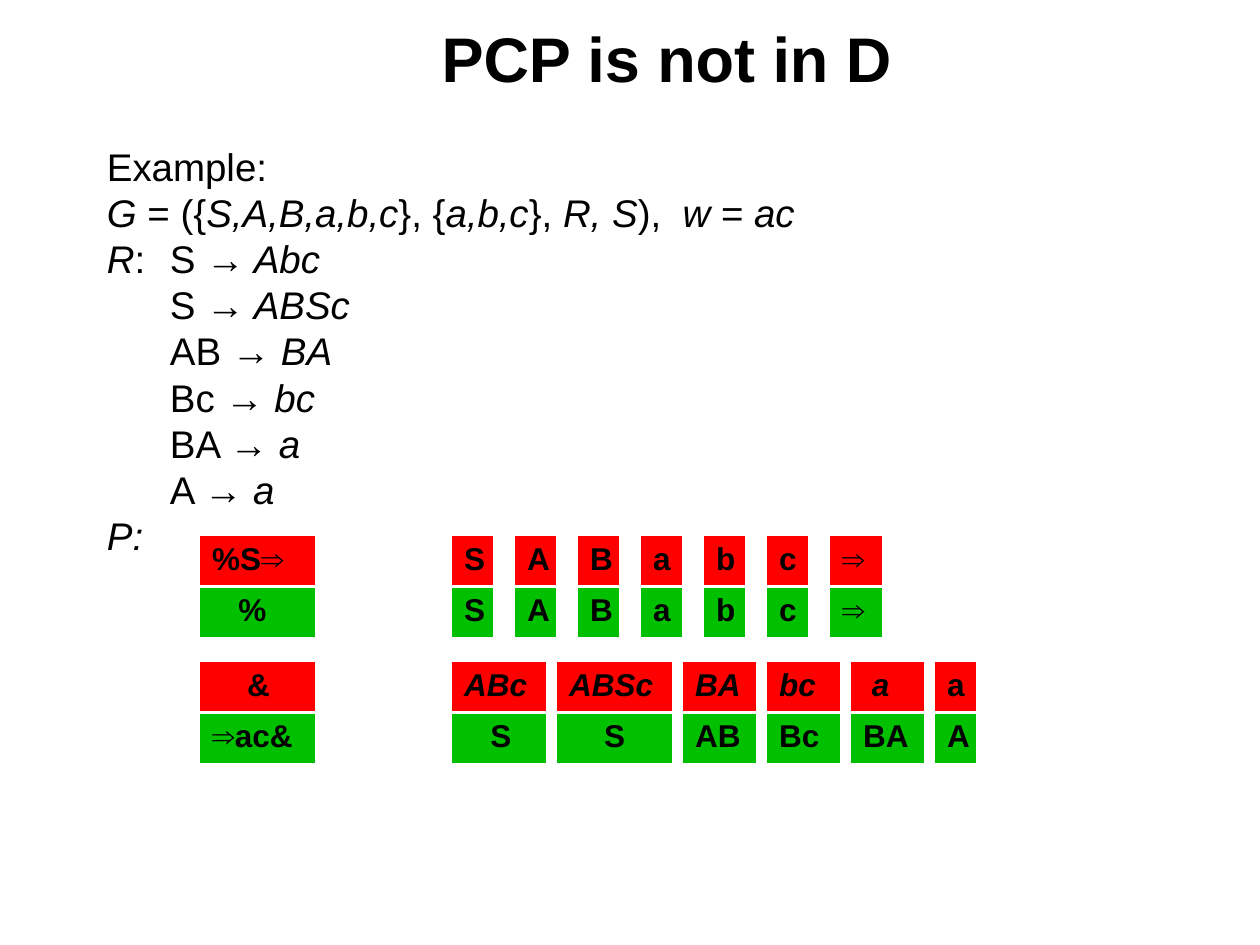
from lxml import etree
from pptx import Presentation
from pptx.dml.color import RGBColor
from pptx.enum.text import MSO_ANCHOR, PP_ALIGN
from pptx.oxml.ns import qn
from pptx.util import Pt

MIDDLE = MSO_ANCHOR.MIDDLE
CENTER = PP_ALIGN.CENTER
COLORS = {"text": "000000", "top": "FF0000", "bottom": "00C000", "border": "FFFFFF"}
TITLE = {"name": "Arial", "size": Pt(36), "bold": True}
BODY = {"name": "Arial", "size": Pt(22), "bold": False}
TILE = {"name": "Arial", "size": Pt(18), "bold": True}


def add_text(paragraph, text, font_values, italic=False):
    run = paragraph.add_run()
    run.text = text
    for key, value in font_values.items():
        setattr(run.font, key, value)
    run.font.italic = italic
    run.font.color.rgb = RGBColor.from_string(COLORS["text"])


def add_border(cell, side, width):
    line = etree.SubElement(cell._tc.get_or_add_tcPr(), qn(f"a:{side}"), w=str(Pt(width)))
    fill = etree.SubElement(line, qn("a:solidFill"))
    etree.SubElement(fill, qn("a:srgbClr"), val=COLORS["border"])


prs = Presentation()
prs.slide_width, prs.slide_height = Pt(720), Pt(540)
slide = prs.slides.add_slide(prs.slide_layouts[6])

# Title
title = slide.shapes.add_textbox(Pt(42), Pt(6), Pt(678), Pt(54)).text_frame
title.word_wrap = True
title.vertical_anchor = MIDDLE
title.paragraphs[0].alignment = CENTER
add_text(title.paragraphs[0], "PCP is not in D", TITLE)

# Grammar: each line is a list of (text, italic)
rules = [("S", "Abc"), ("S", "ABSc"), ("AB", "BA"), ("Bc", "bc"), ("BA", "a"), ("A", "a")]
grammar_lines = [
    [("Example:", False)],
    [("G", True), (" = ({", False), ("S,A,B,a,b,c", True), ("}, {", False),
     ("a,b,c", True), ("}, ", False), ("R, S", True), ("),  ", False),
     ("w", True), (" = ", False), ("ac", True)],
]
for left_side, right_side in rules:
    grammar_lines.append([(f"\t{left_side} ", False), (f"→ {right_side}", True)])
grammar_lines[2][:1] = [("R", True), (": \tS ", False)]
grammar_lines.append([("P:", True)])

grammar = slide.shapes.add_textbox(Pt(54), Pt(78), Pt(636), Pt(244.8)).text_frame
grammar.word_wrap = True
for index, line_parts in enumerate(grammar_lines):
    paragraph = grammar.add_paragraph() if index else grammar.paragraphs[0]
    paragraph.line_spacing = Pt(26.4)
    for text, italic in line_parts:
        add_text(paragraph, text, BODY, italic)

# Domino groups: left, top, gap and tiles
# Each tile: top text, bottom text, width, top italic, top indent, bottom indent
symbol_tiles = [(symbol, symbol, 24, False, 0, 0) for symbol in "SABabc"]
domino_groups = [
    (114, 306, 0, [("%S⇒", "%", 66, False, 0, 15)]),
    (258, 306, 12, symbol_tiles + [("⇒", "⇒", 30, False, 0, 0)]),
    (114, 378, 0, [("&", "⇒ac&", 66, False, 20, 0)]),
    (258, 378, 6, [
        ("ABc", "S", 54, True, 0, 15),
        ("ABSc", "S", 66, True, 0, 20),
        ("BA", "AB", 42, True, 0, 0),
        ("bc", "Bc", 42, True, 0, 0),
        ("a", "BA", 42, True, 5, 0),
        ("a", "A", 24, False, 0, 0),
    ]),
]
ROW_HEIGHT = 29.2
for left, top, gap, tiles in domino_groups:
    for top_text, bottom_text, width, italic, top_indent, bottom_indent in tiles:
        domino = slide.shapes.add_table(
            2, 1, Pt(left), Pt(top), Pt(width), Pt(2 * ROW_HEIGHT)).table
        domino.first_row = domino.horz_banding = False
        halves = [
            (top_text, "top", italic, top_indent, 0.45, 1.47),
            (bottom_text, "bottom", False, bottom_indent, 1.47, 0.45),
        ]
        for row, (text, color, slanted, indent, upper, lower) in enumerate(halves):
            cell = domino.cell(row, 0)
            cell.margin_left = Pt(7.2 + indent)
            for side, weight in (("lnL", 0.45), ("lnR", 0.45), ("lnT", upper), ("lnB", lower)):
                add_border(cell, side, weight)
            cell.fill.solid()
            cell.fill.fore_color.rgb = RGBColor.from_string(COLORS[color])
            add_text(cell.text_frame.paragraphs[0], text, TILE, slanted)
        left += width + gap

prs.save("out.pptx")
